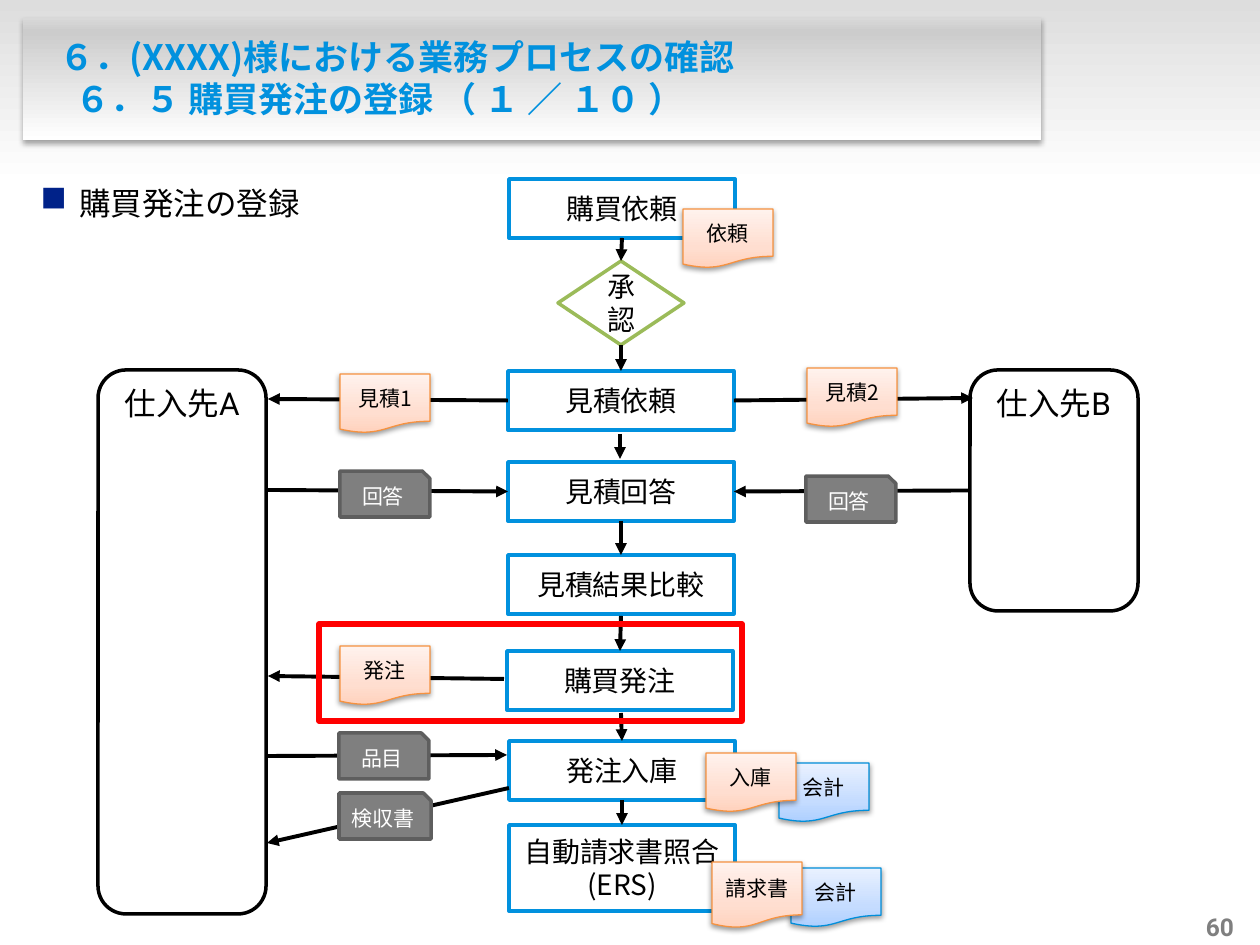
import pptx
import pptx.util
import pptx.dml.color
import pptx.enum.shapes
import pptx.enum.text
import pptx.oxml
import pptx.oxml.ns
import lxml.etree

PX = 914400 / 126
CJK = "Noto Sans CJK JP"
LATIN = "Roboto"
SHAPE = pptx.enum.shapes.MSO_SHAPE
ALIGN = pptx.enum.text.PP_ALIGN
ANCHOR = pptx.enum.text.MSO_ANCHOR
color = pptx.dml.color.RGBColor.from_string
qn = pptx.oxml.ns.qn


def write(shape, paragraphs, frame_format, paragraph_format, size, text_color, bold=False):
    frame = shape.text_frame
    for name, value in frame_format.items():
        setattr(frame, name, value)
    for index, runs in enumerate(paragraphs):
        paragraph = frame.paragraphs[0] if index == 0 else frame.add_paragraph()
        for name, value in paragraph_format.items():
            setattr(paragraph, name, value)
        for text, font_name in runs:
            run = paragraph.add_run()
            run.text = text
            font_format = {"size": pptx.util.Pt(size), "bold": bold, "name": font_name}
            for name, value in font_format.items():
                setattr(run.font, name, value)
            run.font.color.rgb = color(text_color)
            lxml.etree.SubElement(run.font._element, qn("a:ea"), typeface=font_name)


def draw(kind, box, fill=None, line=None, width=0, shadow=None):
    shape = slide.shapes.add_shape(kind, *[round(value * PX) for value in box])
    shape.shadow.inherit = False
    if isinstance(fill, list):
        shape.fill.gradient()
        shape.fill.gradient_angle = 90
        stops = shape._element.spPr.find(qn("a:gradFill")).find(qn("a:gsLst"))
        for stop in list(stops):
            stops.remove(stop)
        for position, stop_color in fill:
            stop = lxml.etree.SubElement(stops, qn("a:gs"), pos=str(position * 1000))
            lxml.etree.SubElement(stop, qn("a:srgbClr"), val=stop_color)
    elif fill:
        shape.fill.solid()
        shape.fill.fore_color.rgb = color(fill)
    else:
        shape.fill.background()
    if line:
        shape.line.color.rgb = color(line)
        shape.line.width = pptx.util.Pt(width)
    else:
        shape.line.fill.background()
    if shadow:
        effects = shape._element.spPr.find(qn("a:effectLst"))
        outer = lxml.etree.SubElement(effects, qn("a:outerShdw"), blurRad="39370", dist="20320",
                                      dir="5400000", rotWithShape="0")
        black = lxml.etree.SubElement(outer, qn("a:srgbClr"), val="000000")
        lxml.etree.SubElement(black, qn("a:alpha"), val=str(shadow * 1000))
    return shape


presentation = pptx.Presentation()
presentation.slide_width = round(1260 * PX)
presentation.slide_height = round(945 * PX)
slide = presentation.slides.add_slide(presentation.slide_layouts[5])

draw(SHAPE.RECTANGLE, (0, 0, 1260, 185), [(0, "FFFFFF"), (100, "DDDDDD")])
draw(SHAPE.RECTANGLE, (23, 18, 1018, 122),
     [(0, "FFFFFF"), (89, "CCCCCC"), (100, "D9D9D9")], shadow=35)

title = slide.shapes.title
slide.shapes._spTree.append(title._element)
title_box = {"left": 35, "top": 30, "width": 990, "height": 95}
for name, value in title_box.items():
    setattr(title, name, round(value * PX))
write(title, [[("６．(XXXX)様における業務プロセスの確認", CJK)],
              [("６．５ 購買発注の登録 （ １ ／ １０ ）", CJK)]],
      {"vertical_anchor": ANCHOR.MIDDLE, "margin_left": 0, "word_wrap": True},
      {"alignment": ALIGN.LEFT}, 20, "0191DE", True)
for paragraph, margin in zip(title.text_frame.paragraphs, (24, 40)):
    paragraph._p.get_or_add_pPr().set("marL", str(round(margin * PX)))

body = slide.shapes.add_textbox(*[round(value * PX) for value in (28, 159, 1216, 723)])
write(body, [[("購買発注の登録", CJK)]], {"word_wrap": True},
      {"line_spacing": 1.5, "space_before": pptx.util.Pt(4)}, 18, "000000")
properties = body.text_frame.paragraphs[0]._p.get_or_add_pPr()
properties.set("marL", str(round(39 * PX)))
properties.set("indent", str(round(-39 * PX)))
bullet_color = lxml.etree.SubElement(properties, qn("a:buClr"))
lxml.etree.SubElement(bullet_color, qn("a:srgbClr"), val="002289")
lxml.etree.SubElement(properties, qn("a:buSzPct"), val="113000")
lxml.etree.SubElement(properties, qn("a:buChar"), char="■")

number = slide.shapes.add_textbox(*[round(value * PX) for value in (1192, 911, 42, 30)])
write(number, [[("60", LATIN)]],
      {"margin_left": 0, "margin_right": 0, "margin_top": 0, "margin_bottom": 0,
       "vertical_anchor": ANCHOR.BOTTOM, "word_wrap": False},
      {"alignment": ALIGN.RIGHT}, 14, "7F7F7F", True)

middle = {"vertical_anchor": ANCHOR.MIDDLE, "word_wrap": True}
top = {"vertical_anchor": ANCHOR.TOP, "word_wrap": True}
centered = {"alignment": ALIGN.CENTER}
blue = [(0, "ADCFFF"), (35, "C5DCFF"), (100, "E9F1FF")]
orange = [(0, "FFD2BD"), (35, "FFDED0"), (100, "FFF2ED")]

for left, y in ((791, 868), (779, 763)):
    document = draw(SHAPE.FLOWCHART_DOCUMENT, (left, y, 90, 59), blue, "008EDA", 0.75, 38)
    write(document, [[("会計", CJK)]], middle, centered, 12, "000000")

steps = {}
for key, left, y, height, lines in (
    ("invoice", 509, 825, 86, ["自動請求書照合", "(ERS)"]),
    ("request", 509, 179, 59, ["購買依頼"]),
    ("quote", 508, 371, 59, ["見積依頼"]),
    ("reply", 508, 462, 59, ["見積回答"]),
    ("compare", 508, 555, 59, ["見積結果比較"]),
    ("order", 507, 651, 59, ["購買発注"]),
    ("receipt", 509, 741, 59, ["発注入庫"]),
):
    steps[key] = draw(SHAPE.RECTANGLE, (left, y, 226, height), "FFFFFF", "0191DE", 2)
    write(steps[key], [[(text, CJK)] for text in lines], middle, centered, 16, "000000")

steps["approval"] = draw(SHAPE.FLOWCHART_DECISION, (558, 261, 126, 84), "FFFFFF", "9BBB59", 2)
write(steps["approval"], [[("承認", CJK)]], middle, centered, 16, "000000")

for letter, left, height in (("A", 98, 544), ("B", 970, 241)):
    steps[letter] = draw(SHAPE.ROUNDED_RECTANGLE, (left, 370, 168, height), "FFFFFF", "000000", 2)
    write(steps[letter], [[("仕入先", CJK), (letter, LATIN)]], top, centered, 18, "000000")

for start, end, begin_site, end_site in (
    ((621, 238), (621, 261), ("request", 2), ("approval", 0)),
    ((621, 345), (621, 371), ("approval", 2), ("quote", 0)),
    ((620, 434), (620, 459), None, None),
    ((621, 521), (621, 555), ("reply", 2), ("compare", 0)),
    ((621, 616), (620, 651), None, ("order", 0)),
    ((621, 713), (621, 741), None, ("receipt", 0)),
    ((621, 800), (621, 825), ("receipt", 2), ("invoice", 0)),
    ((508, 400), (268, 399), ("quote", 1), None),
    ((504, 679), (268, 676), None, None),
    ((970, 490), (734, 490), ("B", 1), ("reply", 3)),
    ((268, 490), (508, 491), None, ("reply", 1)),
    ((267, 756), (507, 755), None, None),
    ((509, 788), (267, 843), None, None),
    ((734, 400), (973, 398), ("quote", 3), None),
):
    arrow = slide.shapes.add_connector(pptx.enum.shapes.MSO_CONNECTOR.STRAIGHT,
                                       *[round(value * PX) for value in start + end])
    if begin_site:
        arrow.begin_connect(steps[begin_site[0]], begin_site[1])
    if end_site:
        arrow.end_connect(steps[end_site[0]], end_site[1])
    arrow.line.color.rgb = color("000000")
    arrow.line.width = pptx.util.Pt(2.25)
    lxml.etree.SubElement(arrow.line._get_or_add_ln(), qn("a:tailEnd"), type="triangle")
    lxml.etree.SubElement(arrow._element.spPr, qn("a:effectLst"))

for text, left, y, height in (
    ("請求書", 712, 862, 66),
    ("入庫", 706, 753, 59),
    ("発注", 340, 646, 59),
    ("見積1", 340, 374, 59),
    ("見積2", 807, 368, 59),
    ("依頼", 683, 209, 59),
):
    document = draw(SHAPE.FLOWCHART_DOCUMENT, (left, y, 90, height), orange, "F69240", 0.75, 38)
    write(document, [[(text, CJK)]], middle, centered, 12, "000000")

for text, left, y, width in (
    ("回答", 340, 471, 90),
    ("回答", 806, 476, 90),
    ("品目", 339, 733, 90),
    ("検収書", 339, 793, 92),
):
    card = draw(SHAPE.SNIP_1_RECTANGLE, (left, y, width, 46), "7F7F7F", "5E5E5E", 2)
    write(card, [[(text, CJK)]], middle, centered, 12, "FFFFFF")

draw(SHAPE.RECTANGLE, (319, 624, 423, 97), None, "FF0000", 3)

presentation.save("out.pptx")
